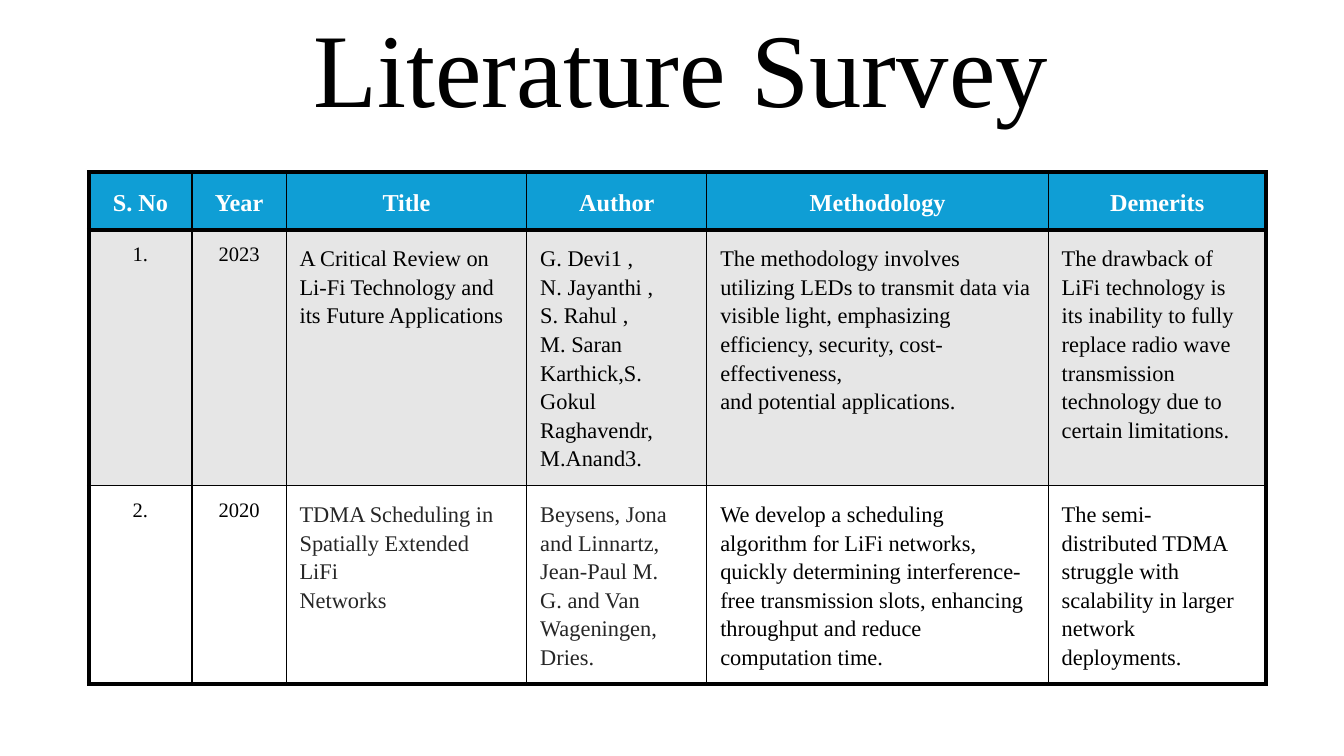
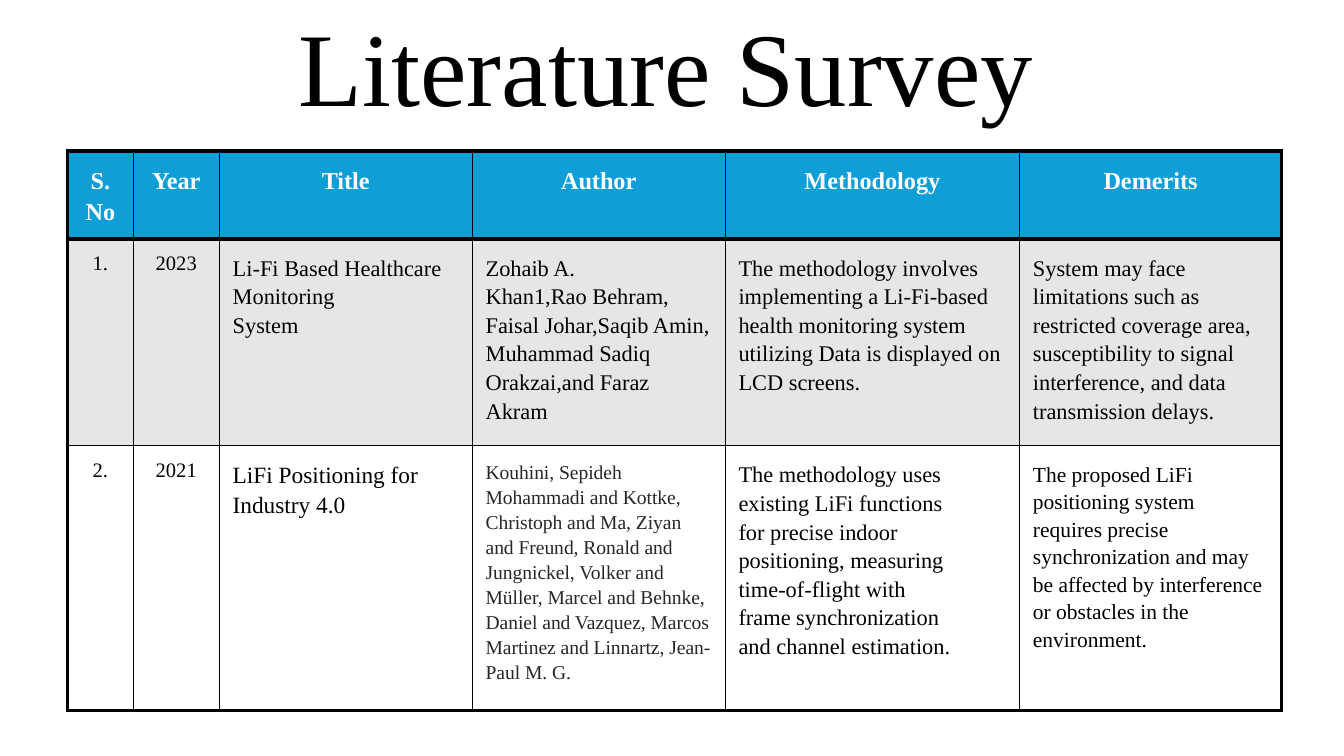
from lxml.etree import SubElement
from pptx import Presentation
from pptx.dml.color import RGBColor
from pptx.enum.text import MSO_ANCHOR, MSO_AUTO_SIZE, PP_ALIGN
from pptx.oxml.ns import qn
from pptx.util import Pt

BLUE = RGBColor(0x0F, 0x9E, 0xD5)
GREY = RGBColor(0xE6, 0xE6, 0xE6)
DARK = RGBColor(0x26, 0x26, 0x26)
BLACK = RGBColor(0, 0, 0)
WHITE = RGBColor(255, 255, 255)
FONT = "Times New Roman"
THICK, THIN = 2.25, 0.75
INSET = 7.2

TITLE = "Literature Survey"
HEADS = ("S. No", "Year", "Title", "Author", "Methodology", "Demerits")
FILLS = (BLUE, GREY, None)

SLIDES = [
    {
        "title": (95, 11.5, 540, 56),
        "table": (47.5, 92.2),
        "cols": (55.4, 50.4, 128.9, 96.5, 182.9, 116.6),
        "rows": (30.5, 137, 106),
        "cells": [
            ("1.", "2023",
             "A Critical Review on Li-Fi Technology and its Future Applications",
             "G. Devi1 ,\nN. Jayanthi ,\nS. Rahul ,\nM. Saran Karthick,S.\n"
             "Gokul Raghavendr, M.Anand3.",
             "The methodology involves utilizing LEDs to transmit data via visible "
             "light, emphasizing efficiency, security, cost-effectiveness,\n"
             "and potential applications.",
             "The drawback of LiFi technology is its inability to fully replace "
             "radio wave transmission\ntechnology due to certain limitations."),
            ("2.", "2020",
             "TDMA Scheduling in Spatially Extended LiFi\nNetworks",
             "Beysens, Jona\nand Linnartz, Jean-Paul M.\nG. and Van Wageningen,\nDries.",
             "We develop a scheduling algorithm for LiFi networks, quickly "
             "determining interference-free transmission slots, enhancing "
             "throughput and reduce computation time.",
             "The semi- distributed TDMA struggle with scalability in larger "
             "network deployments."),
        ],
        "sizes": {},
        "dark": {(2, 2), (2, 3)},
    },
    {
        "title": (131, 23.8, 452, 30),
        "table": (36.2, 80.8),
        "cols": (35.2, 46.1, 135.5, 135.5, 157.7, 140.4),
        "rows": (47.3, 110.8, 141.8),
        "cells": [
            ("1.", "2023",
             "Li-Fi Based Healthcare Monitoring\nSystem",
             "Zohaib A.\nKhan1,Rao Behram, Faisal Johar,Saqib Amin, "
             "Muhammad Sadiq Orakzai,and Faraz Akram",
             "The methodology involves implementing a Li-Fi-based health "
             "monitoring system utilizing Data is displayed on LCD screens.",
             "System may face\nlimitations such as\nrestricted coverage area, "
             "susceptibility to signal interference, and data transmission delays."),
            ("2.", "2021",
             "LiFi Positioning for Industry 4.0",
             "Kouhini, Sepideh Mohammadi and Kottke, Christoph and Ma, Ziyan and "
             "Freund, Ronald and Jungnickel, Volker and Müller, Marcel and Behnke,\n"
             "Daniel and Vazquez, Marcos\nMartinez and Linnartz, Jean- Paul M. G.",
             "The methodology uses\nexisting LiFi functions\nfor precise indoor\n"
             "positioning, measuring\ntime-of-flight with\nframe synchronization\n"
             "and channel estimation.",
             "The proposed LiFi positioning system requires precise "
             "synchronization and may be affected by interference or obstacles "
             "in the environment."),
        ],
        "sizes": {(2, 2): 12.5, (2, 3): 10.5, (2, 5): 11.5},
        "dark": {(2, 3)},
    },
]


def style(par, size, color, bold=False, center=True, gap=1.0):
    par.font.name = FONT
    par.font.size = Pt(size)
    par.font.color.rgb = color
    par.font.bold = bold
    par.alignment = PP_ALIGN.CENTER if center else PP_ALIGN.LEFT
    par.line_spacing = gap


def add_title(slide, box):
    title = slide.shapes.title
    title.left, title.top, title.width, title.height = map(Pt, box)
    frame = title.text_frame
    frame.text = TITLE
    frame.auto_size = MSO_AUTO_SIZE.NONE
    frame.vertical_anchor = MSO_ANCHOR.MIDDLE
    style(frame.paragraphs[0], 56, BLACK, gap=0.9)


def add_edges(cell, row, col):
    edges = {
        "L": col == 0,
        "R": col == len(HEADS) - 1,
        "T": row < 2,
        "B": row != 1,
    }
    props = cell._tc.get_or_add_tcPr()
    for side, heavy in edges.items():
        line = SubElement(props, qn("a:ln" + side), w=str(Pt(THICK if heavy else THIN)))
        fill = SubElement(line, qn("a:solidFill"))
        SubElement(fill, qn("a:srgbClr"), val=str(BLACK))


def fill_cell(cell, text, row, col, data):
    cell.margin_left = cell.margin_right = Pt(INSET)
    cell.margin_top = cell.margin_bottom = Pt(INSET)
    add_edges(cell, row, col)
    if FILLS[row] is None:
        cell.fill.background()
    else:
        cell.fill.solid()
        cell.fill.fore_color.rgb = FILLS[row]
    cell.text_frame.text = text
    for par in cell.text_frame.paragraphs:
        if row == 0:
            style(par, 13, WHITE, bold=True, gap=1.15)
        elif col < 2:
            style(par, 11, BLACK)
        else:
            size = data["sizes"].get((row, col), 12)
            color = DARK if (row, col) in data["dark"] else BLACK
            style(par, size, color, center=False, gap=1.15)


def add_grid(slide, data):
    cols, rows = data["cols"], data["rows"]
    box = (*data["table"], sum(cols), sum(rows))
    table = slide.shapes.add_table(len(rows), len(cols), *map(Pt, box)).table
    table.horz_banding = False
    for col, width in zip(table.columns, cols):
        col.width = Pt(width)
    for row, height in zip(table.rows, rows):
        row.height = Pt(height)
    for row, line in enumerate([HEADS, *data["cells"]]):
        for col, text in enumerate(line):
            fill_cell(table.cell(row, col), text, row, col, data)


def main():
    deck = Presentation()
    deck.slide_width, deck.slide_height = Pt(720), Pt(405)
    for data in SLIDES:
        slide = deck.slides.add_slide(deck.slide_layouts[0])
        spare = slide.placeholders[1].element
        spare.getparent().remove(spare)
        add_title(slide, data["title"])
        add_grid(slide, data)
    deck.save("out.pptx")


if __name__ == "__main__":
    main()
